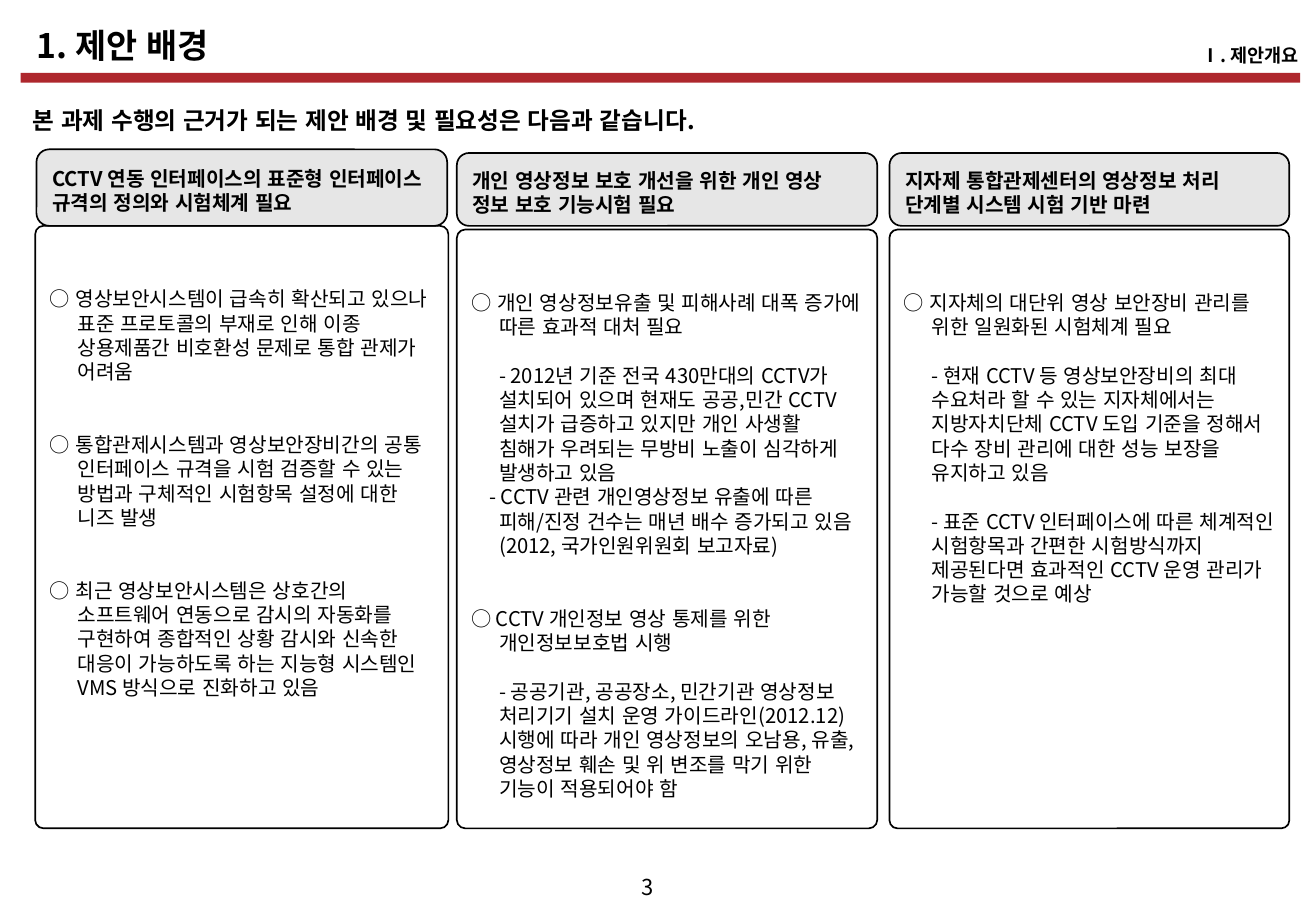
from lxml import etree
from pptx import Presentation
from pptx.dml.color import RGBColor
from pptx.enum.lang import MSO_LANGUAGE_ID
from pptx.enum.shapes import MSO_SHAPE
from pptx.enum.text import MSO_ANCHOR, PP_ALIGN
from pptx.oxml.ns import qn
from pptx.util import Pt

PX = 9144  # 100 px to the inch
FONT = "Noto Sans CJK KR"
BLACK, WHITE, GRAY, RED = "000000", "FFFFFF", "E6E6E6", "AE272D"
KOREAN = MSO_LANGUAGE_ID.KOREAN
RECTANGLE, ROUNDED = MSO_SHAPE.RECTANGLE, MSO_SHAPE.ROUNDED_RECTANGLE
TOP, MIDDLE = MSO_ANCHOR.TOP, MSO_ANCHOR.MIDDLE
LEFT, CENTER, RIGHT = PP_ALIGN.LEFT, PP_ALIGN.CENTER, PP_ALIGN.RIGHT
LINE = 14.4  # line pitch in points
HANG = 23
BOTTOM = 682

# Each item: text, blank lines before it, first-line indent in px
COLUMNS = [
    {
        "header": (30, 123, 338, 63), "body": (29, 186, 340),
        "title": "CCTV 연동 인터페이스의 표준형 인터페이스\v규격의 정의와 시험체계 필요",
        "items": [
            ("○ 영상보안시스템이 급속히 확산되고 있으나 표준 프로토콜의 부재로 인해 이종 "
             "상용제품간 비호환성 문제로 통합 관제가 어려움", 0, -HANG),
            ("○ 통합관제시스템과 영상보안장비간의 공통 인터페이스 규격을 시험 검증할 수 있는 "
             "방법과 구체적인 시험항목 설정에 대한\v니즈 발생", 2, -HANG),
            ("○ 최근 영상보안시스템은 상호간의 소프트웨어 연동으로 감시의 자동화를 구현하여 "
             "종합적인 상황 감시와 신속한 대응이 가능하도록 하는 지능형 시스템인 VMS 방식으로 "
             "진화하고 있음", 2, -HANG),
        ],
    },
    {
        "header": (376, 126, 346, 60), "body": (376, 189, 346),
        "title": "개인 영상정보 보호 개선을 위한 개인 영상\v정보 보호 기능시험 필요",
        "items": [
            ("○ 개인 영상정보유출 및 피해사례 대폭 증가에 따른 효과적 대처 필요", 0, -HANG),
            ("- 2012년 기준 전국 430만대의 CCTV가 설치되어 있으며 현재도 공공,민간 CCTV "
             "설치가 급증하고 있지만 개인 사생활 침해가 우려되는 무방비 노출이 심각하게 "
             "발생하고 있음", 1, 0),
            ("- CCTV 관련 개인영상정보 유출에 따른 피해/진정 건수는 매년 배수 증가되고 "
             "있음(2012, 국가인원위원회 보고자료)", 0, -8),
            ("○ CCTV 개인정보 영상 통제를 위한 개인정보보호법 시행", 2, -HANG),
            ("- 공공기관, 공공장소, 민간기관 영상정보 처리기기 설치 운영 가이드라인(2012.12) "
             "시행에 따라 개인 영상정보의 오남용, 유출, 영상정보 훼손 및 위 변조를 막기 위한 "
             "기능이 적용되어야 함", 1, 0),
        ],
    },
    {
        "header": (732, 126, 329, 60), "body": (732, 189, 329),
        "title": "지자제 통합관제센터의 영상정보 처리\v단계별 시스템 시험 기반 마련",
        "items": [
            ("○ 지자체의 대단위 영상 보안장비 관리를 위한 일원화된 시험체계 필요", 0, -HANG),
            ("- 현재 CCTV 등 영상보안장비의 최대 수요처라 할 수 있는 지자체에서는 "
             "지방자치단체 CCTV 도입 기준을 정해서 다수 장비 관리에 대한 성능 보장을 "
             "유지하고 있음", 1, 0),
            ("- 표준 CCTV 인터페이스에 따른 체계적인 시험항목과 간편한 시험방식까지 "
             "제공된다면 효과적인 CCTV 운영 관리가 가능할 것으로 예상", 1, 0),
        ],
    },
]


def color(value):
    return RGBColor.from_string(value)


def scaled(*lengths):
    return [length * PX for length in lengths]


def format_frame(frame, anchor, insets=(0, 0, 0, 0), wrap=True):
    """Insets run left, top, right, bottom, in px."""
    frame.word_wrap = wrap
    frame.vertical_anchor = anchor
    (frame.margin_left, frame.margin_top,
     frame.margin_right, frame.margin_bottom) = scaled(*insets)


def format_paragraph(paragraph, size, bold=False, align=LEFT):
    paragraph.alignment = align
    font = paragraph.font
    font.size, font.bold = Pt(size), bold
    font.language_id = KOREAN
    font.color.rgb = color(BLACK)
    font.name = FONT
    properties = paragraph._p.pPr.find(qn("a:defRPr"))
    etree.SubElement(properties, qn("a:ea")).set("typeface", FONT)


def add_label(slide, text, box, size, bold=True, align=LEFT, wrap=True):
    frame = slide.shapes.add_textbox(*scaled(*box)).text_frame
    format_frame(frame, MIDDLE, wrap=wrap)
    frame.text = text
    format_paragraph(frame.paragraphs[0], size, bold, align)


def add_box(slide, kind, box, fill, outlined=True):
    shape = slide.shapes.add_shape(kind, *scaled(*box))
    shape.shadow.inherit = False
    shape.fill.solid()
    shape.fill.fore_color.rgb = color(fill)
    if outlined:
        shape.line.color.rgb = color(BLACK)
        shape.line.width = Pt(1)
    else:
        shape.line.fill.background()
    return shape


def add_body(slide, left, top, width, items):
    body = add_box(slide, ROUNDED, (left, top, width, BOTTOM - top), WHITE)
    body.adjustments[0] = 0.02
    frame = body.text_frame
    format_frame(frame, TOP, (10, 48, 10, 5))
    for index, (text, blank_lines, indent) in enumerate(items):
        paragraph = frame.add_paragraph() if index else frame.paragraphs[0]
        paragraph.text = text
        paragraph.line_spacing = Pt(LINE)
        if blank_lines:
            paragraph.space_before = Pt(blank_lines * LINE)
        format_paragraph(paragraph, 12)
        properties = paragraph._p.pPr
        properties.set("marL", str(HANG * PX))
        properties.set("indent", str(indent * PX))


def add_header(slide, box, text):
    frame = add_box(slide, ROUNDED, box, GRAY).text_frame
    format_frame(frame, MIDDLE, (10, 10, 10, 5))
    frame.text = text
    paragraph = frame.paragraphs[0]
    paragraph.line_spacing = Pt(LINE)
    format_paragraph(paragraph, 12, bold=True)


def set_title(slide, text, box):
    title = slide.shapes.title
    title.left, title.top, title.width, title.height = scaled(*box)
    format_frame(title.text_frame, MIDDLE)
    title.text_frame.text = text
    format_paragraph(title.text_frame.paragraphs[0], 20, bold=True)


def main():
    presentation = Presentation()
    presentation.slide_width, presentation.slide_height = scaled(1083, 750)
    slide = presentation.slides.add_slide(presentation.slide_layouts[5])

    set_title(slide, "1. 제안 배경", (30, 20, 443, 34))
    add_box(slide, RECTANGLE, (17, 60, 1053, 8), RED, outlined=False)
    add_label(slide, "Ⅰ. 제안개요", (610, 36, 459, 19), 11, align=RIGHT)
    add_label(slide, "본 과제 수행의 근거가 되는 제안 배경 및 필요성은 다음과 같습니다.",
              (27, 87, 663, 24), 14)
    for column in COLUMNS:
        add_body(slide, *column["body"], column["items"])
        add_header(slide, column["header"], column["title"])
    add_label(slide, "3", (510, 719, 45, 22), 13, bold=False, align=CENTER, wrap=False)

    presentation.save("out.pptx")


if __name__ == "__main__":
    main()
